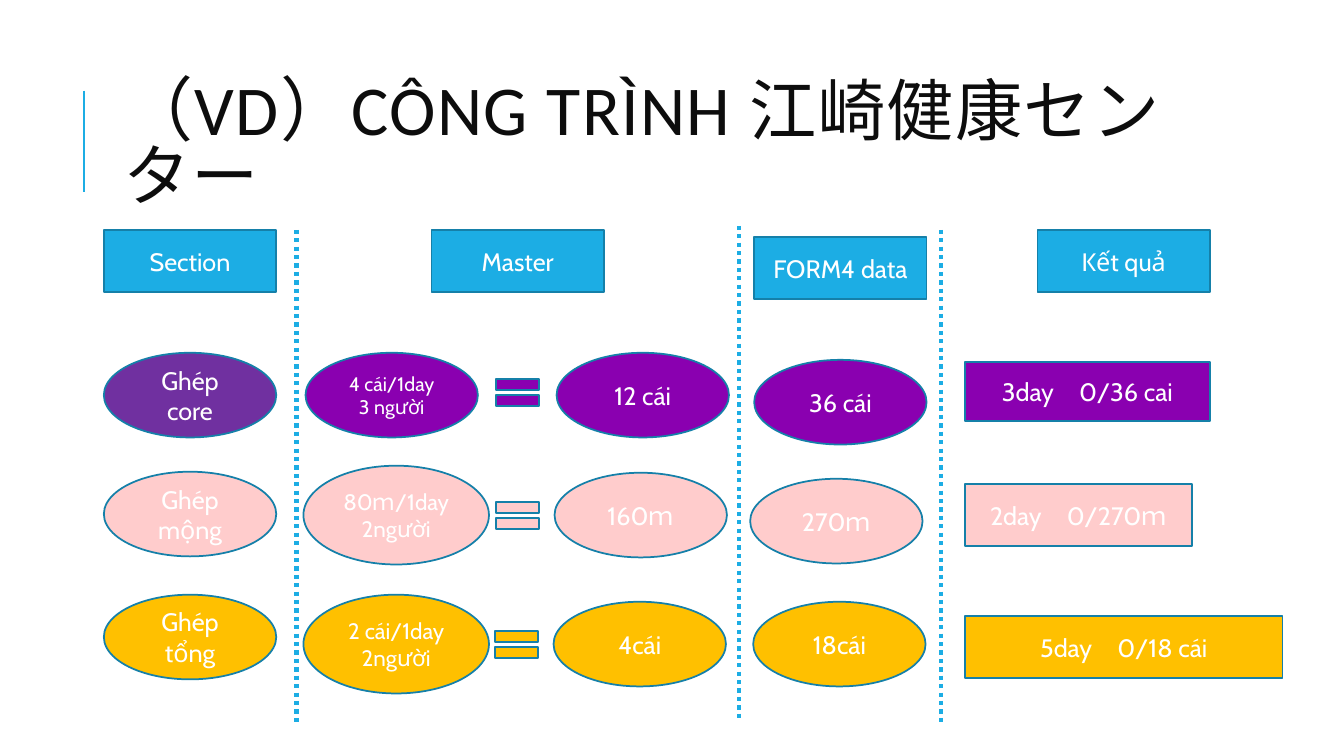
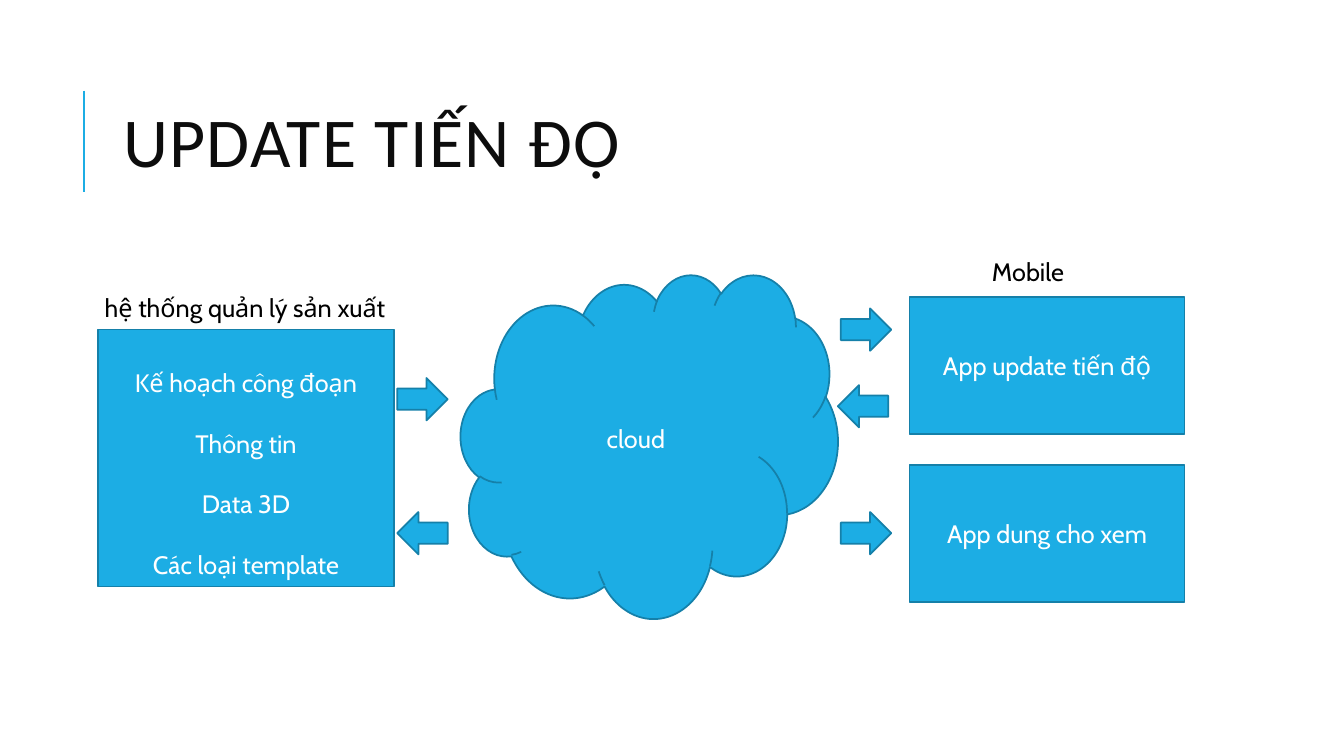
from dataclasses import dataclass

from lxml.etree import SubElement
from pptx import Presentation
from pptx.dml.color import RGBColor
from pptx.enum.dml import MSO_LINE
from pptx.enum.shapes import MSO_CONNECTOR, MSO_SHAPE as SHAPE
from pptx.enum.text import MSO_ANCHOR as ANCHOR, MSO_AUTO_SIZE, PP_ALIGN as ALIGN
from pptx.oxml.ns import qn
from pptx.util import Emu, Pt

PX = 9144

BLUE = "1CADE4"
EDGE = "1580A9"
WHITE = "FFFFFF"
BLACK = "000000"
INK = "0D0D0D"
GRAPE = "7030A0"
PURPLE = "8A00B0"
PINK = "FFCCCC"
AMBER = "FFC000"
BODY_FONT = "Cabin"
TITLE_FONT = "Calibri"
LINE_GAP = 21.6


@dataclass(frozen=True)
class Node:
    x: int
    y: int
    w: int
    h: int
    text: str = ""
    fill: str = BLUE
    kind: SHAPE = SHAPE.RECTANGLE
    size: int = 18
    gap: float = 0
    top: int = 5


@dataclass(frozen=True)
class Row:
    color: str
    section: Node
    rate: Node
    equal: tuple[int, int]
    total: tuple[int, int, str]
    actual: tuple[int, int, str]
    result: Node


def px(n: int) -> Emu:
    return Emu(n * PX)


def rgb(color: str) -> RGBColor:
    return RGBColor.from_string(color)


def box(x: int, y: int, w: int, h: int) -> tuple[Emu, ...]:
    return px(x), px(y), px(w), px(h)


def add_run(p, text: str, *, size: float = 18, font: str = BODY_FONT,
            color: str = WHITE, spacing: int = 0) -> None:
    r = p.add_run()
    r.text = text
    r.font.size = Pt(size)
    r.font.name = font
    r.font.color.rgb = rgb(color)
    if spacing:
        r.font._element.set("spc", str(spacing * 100))


def write(tf, text: str, *, align: ALIGN = ALIGN.CENTER, gap: float = 0, **style) -> None:
    tf.word_wrap = True
    for i, line in enumerate(text.split("\n")):
        p = tf.add_paragraph() if i else tf.paragraphs[0]
        p.alignment = align
        if i and gap:
            p.space_before = Pt(gap)
        add_run(p, line, **style)


def add_node(slide, node: Node) -> None:
    sp = slide.shapes.add_shape(node.kind, *box(node.x, node.y, node.w, node.h))
    sp.shadow.inherit = False
    sp.fill.solid()
    sp.fill.fore_color.rgb = rgb(node.fill)
    sp.line.color.rgb = rgb(EDGE)
    sp.line.width = Pt(1.25)
    if node.text:
        tf = sp.text_frame
        tf.vertical_anchor = ANCHOR.MIDDLE
        tf.margin_top = px(node.top)
        write(tf, node.text, size=node.size, gap=node.gap)


def add_label(slide, x: int, y: int, w: int, text: str) -> None:
    sp = slide.shapes.add_textbox(*box(x, y, w, 40))
    write(sp.text_frame, text, align=ALIGN.LEFT, color=BLACK)


def add_rule(slide, x: int, y: int, h: int, *, width: float, dotted: bool = False):
    c = slide.shapes.add_connector(MSO_CONNECTOR.STRAIGHT, px(x), px(y), px(x), px(y + h))
    c.line.color.rgb = rgb(BLUE)
    c.line.width = Pt(width)
    if dotted:
        c.line.dash_style = MSO_LINE.ROUND_DOT
    SubElement(c._element.spPr, qn("a:effectLst"))
    return c


def setup_layout(layout, slide) -> None:
    title = layout.placeholders[0]
    title.left, title.top, title.width, title.height = box(112, 64, 1063, 164)
    accent = add_rule(slide, 83, 90, 100, width=1.5)
    layout.shapes._spTree.append(accent._element)


def set_title(slide, *parts: tuple[str, int]) -> None:
    tf = slide.shapes.title.text_frame
    tf.word_wrap = True
    tf.auto_size = MSO_AUTO_SIZE.NONE
    tf.vertical_anchor = ANCHOR.MIDDLE
    p = tf.paragraphs[0]
    p.alignment = ALIGN.LEFT
    p.line_spacing = 0.8
    for text, size in parts:
        add_run(p, text, size=size, font=TITLE_FONT, color=INK, spacing=1)


def oval(x: int, y: int, text: str, fill: str, w: int = 171, h: int = 84,
         size: int = 18) -> Node:
    return Node(x, y, w, h, text, fill, SHAPE.OVAL, size)


HEADERS = [
    (103, 228, "Section"),
    (428, 228, "Master"),
    (748, 235, "FORM4 data"),
    (1029, 228, "Kết quả"),
]
DIVIDERS = [(294, 228), (733, 224), (933, 228)]
ROWS = [
    Row(PURPLE, oval(103, 350, "Ghép core", GRAPE),
        oval(303, 350, "4 cái/1day\n3 người", PURPLE, size=14),
        (484, 367), (552, 350, "12 cái"), (748, 357, "36 cái"),
        Node(957, 359, 243, 59, "3day　0/36 cai", PURPLE)),
    Row(PINK, oval(103, 468, "Ghép mộng", PINK),
        oval(301, 462, "80ｍ/1day\n2người", PINK, 184, 98, 16),
        (484, 489), (550, 469, "160ｍ"), (744, 475, "270ｍ"),
        Node(957, 480, 225, 62, "2day　0/270ｍ", PINK)),
    Row(AMBER, oval(103, 590, "Ghép tổng", AMBER),
        oval(301, 590, "2 cái/1day\n2người", AMBER, 184, 98, 16),
        (483, 617), (549, 597, "4cái"), (747, 597, "18cái"),
        Node(957, 611, 315, 62, "5day　0/18 cái", AMBER)),
]

SYSTEM_PARTS = "Kế hoạch công đoạn\nThông tin\nData 3D\nCác loại template"
SYSTEM_NODES = [
    Node(97, 327, 294, 255, SYSTEM_PARTS, gap=LINE_GAP, top=35),
    Node(457, 272, 374, 341, "cloud", kind=SHAPE.CLOUD),
    Node(902, 295, 273, 136, "App update tiến độ"),
    Node(902, 461, 273, 136, "App dung cho xem"),
]
ARROWS = [
    (394, 375, SHAPE.RIGHT_ARROW),
    (394, 508, SHAPE.LEFT_ARROW),
    (834, 306, SHAPE.RIGHT_ARROW),
    (831, 382, SHAPE.LEFT_ARROW),
    (834, 508, SHAPE.RIGHT_ARROW),
]
LABELS = [(94, 285, 313, "hệ thống quản lý sản xuất"), (974, 249, 128, "Mobile")]


def build_example(slide) -> None:
    set_title(slide, ("（VD）CÔNG TRÌNH ", 50), ("江崎健康センター", 48))
    for x, y in DIVIDERS:
        add_rule(slide, x, y, 491, width=3, dotted=True)
    for x, y, text in HEADERS:
        add_node(slide, Node(x, y, 171, 62, text))
    for row in ROWS:
        equal = Node(*row.equal, 58, 45, fill=row.color, kind=SHAPE.MATH_EQUAL)
        total, actual = (oval(*cell, row.color) for cell in (row.total, row.actual))
        for node in (row.section, row.rate, equal, total, actual, row.result):
            add_node(slide, node)


def build_progress(slide) -> None:
    set_title(slide, ("UPDATE TIẾN ĐỘ", 50))
    for node in SYSTEM_NODES:
        add_node(slide, node)
    for x, y, kind in ARROWS:
        add_node(slide, Node(x, y, 50, 42, kind=kind))
    for label in LABELS:
        add_label(slide, *label)


def main() -> None:
    prs = Presentation()
    prs.slide_width, prs.slide_height = px(1333), px(750)
    layout = prs.slide_layouts[5]
    example, progress = (prs.slides.add_slide(layout) for _ in range(2))
    setup_layout(layout, example)
    build_example(example)
    build_progress(progress)
    prs.save("out.pptx")


if __name__ == "__main__":
    main()
